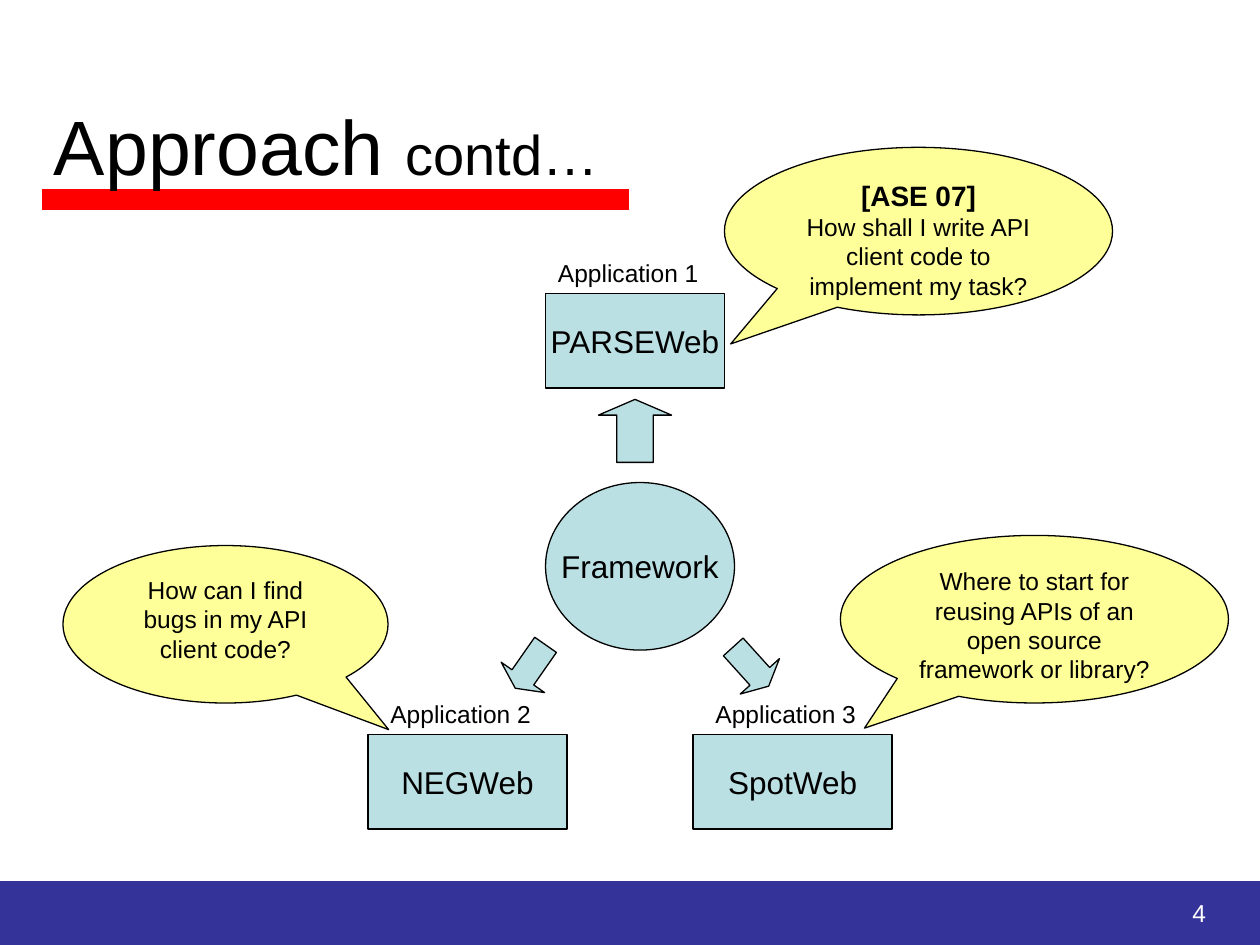
import pptx
import pptx.dml.color
import pptx.enum.shapes
import pptx.enum.text
import pptx.oxml
import pptx.util

Inches = pptx.util.Inches
Pt = pptx.util.Pt
SHAPE = pptx.enum.shapes.MSO_SHAPE
ALIGN = pptx.enum.text.PP_ALIGN
ANCHOR = pptx.enum.text.MSO_ANCHOR

COLORS = {
    "ink": "000000",
    "paper": "FFFFFF",
    "footer": "333399",
    "rule": "FF0000",
    "node": "BBE0E3",
    "callout": "FFFF99",
}


def color(name):
    return pptx.dml.color.RGBColor.from_string(COLORS[name])


def write(holder, paragraphs, align=ALIGN.CENTER, ink="ink", **frame_format):
    """Fill a shape with paragraphs, each a list of (text, size, bold) runs."""
    frame = holder.text_frame
    for key, value in {"word_wrap": True, **frame_format}.items():
        setattr(frame, key, value)
    for index, runs in enumerate(paragraphs):
        paragraph = frame.add_paragraph() if index else frame.paragraphs[0]
        paragraph.alignment = align
        for text, size, bold in runs:
            run = paragraph.add_run()
            run.text = text
            font_format = {"name": "Arial", "size": Pt(size), "bold": bold}
            for key, value in font_format.items():
                setattr(run.font, key, value)
            run.font.color.rgb = color(ink)


def add_text(slide, box, paragraphs, **text_format):
    holder = slide.shapes.add_textbox(*map(Inches, box))
    write(holder, paragraphs, **text_format)


def add_figure(slide, kind, box, fill, line="ink", adjustments=(), rotation=0):
    """Add a filled, outlined preset shape."""
    figure = slide.shapes.add_shape(kind, *map(Inches, box))
    figure.shadow.inherit = False
    figure.fill.solid()
    figure.fill.fore_color.rgb = color(fill)
    figure.line.color.rgb = color(line)
    figure.line.width = Pt(0.75)
    figure.rotation = rotation
    for index, value in enumerate(adjustments):
        figure.adjustments[index] = value
    return figure


def add_footer(slide, box, number):
    left, top, width, height = box
    add_figure(slide, SHAPE.RECTANGLE, box, "footer", line="footer")
    add_text(slide, (left + width - 1, top + 0.08, 0.67, 0.27),
             [[(number, 14, False)]], align=ALIGN.RIGHT, ink="paper")


def add_heading(slide, box):
    left, top, width, height = box
    rule_y = Inches(top + 1)
    rule = slide.shapes.add_connector(
        pptx.enum.shapes.MSO_CONNECTOR.STRAIGHT,
        Inches(left), rule_y, Inches(left + width / 2), rule_y)
    rule.line.color.rgb = color("rule")
    rule.line.width = Pt(12)
    rule._element.spPr.append(pptx.oxml.parse_xml(
        '<a:effectLst xmlns:a="http://schemas.openxmlformats.org/drawingml/2006/main"/>'))
    add_text(slide, box, [[("Approach ", 44, False), ("contd…", 32, False)]],
             align=ALIGN.LEFT, vertical_anchor=ANCHOR.MIDDLE)


def add_node(slide, kind, box, name):
    node = add_figure(slide, kind, box, "node")
    write(node, [[(name, 18, False)]], word_wrap=False,
          vertical_anchor=ANCHOR.MIDDLE)


def add_application(slide, box, name, label, label_indent):
    """Add an application box with its label just above it."""
    left, top, width, height = box
    add_node(slide, SHAPE.RECTANGLE, box, name)
    add_text(slide, (left + label_indent, top - 0.33, 1.42, 0.34),
             [[(label, 14, False)]], align=ALIGN.LEFT)


def add_callout(slide, box, tail, paragraphs):
    callout = add_figure(slide, SHAPE.OVAL_CALLOUT, box, "callout", adjustments=tail)
    write(callout, paragraphs, vertical_anchor=ANCHOR.TOP)


def add_diagram(slide, box):
    """Framework in the middle, with arrows out to three applications."""
    left, top, width, height = box

    def place(x, y, w, h):
        return left + x, top + y, w, h

    add_node(slide, SHAPE.OVAL, place(3.83, 2.66, 1.5, 1.33), "Framework")

    arrows = [
        (SHAPE.UP_ARROW, place(4.25, 2, 0.58, 0.5), 0),
        (SHAPE.DOWN_ARROW, place(3.5, 3.91, 0.42, 0.42), 34.9),
        (SHAPE.DOWN_ARROW, place(5.25, 3.91, 0.42, 0.42), 317.9),
    ]
    for kind, arrow_box, rotation in arrows:
        add_figure(slide, kind, arrow_box, "node",
                   adjustments=(0.5, 0.25), rotation=rotation)

    callouts = [
        (place(5.25, 0, 3.08, 1.33), (-0.484, 0.673),
         [[("[ASE 07]", 16, True)],
          [("How shall I write API client code to implement my task?", 14, False)]]),
        (place(6.17, 3.08, 3.08, 1.33), (-0.438, 0.65),
         [[("Where to start for reusing APIs of an open source "
            "framework or library?", 14, False)]]),
        (place(0, 3.16, 2.58, 1.25), (0.502, 0.669),
         [[("How can I find bugs in my API client code?", 14, False)]]),
    ]
    for callout in callouts:
        add_callout(slide, *callout)

    applications = [
        (place(3.83, 1.16, 1.42, 0.75), "PARSEWeb", "Application 1", 0),
        (place(2.42, 4.66, 1.58, 0.75), "NEGWeb", "Application 2", 0.08),
        (place(5, 4.66, 1.58, 0.75), "SpotWeb", "Application 3", 0.08),
    ]
    for application in applications:
        add_application(slide, *application)


def main():
    deck = pptx.Presentation()
    deck.slide_width = Inches(10)
    deck.slide_height = Inches(7.5)
    slide = deck.slides.add_slide(deck.slide_layouts[6])
    add_footer(slide, (0, 7, 10, 0.5), "4")
    add_heading(slide, (0.33, 0.58, 9.33, 1.13))
    add_diagram(slide, (0.5, 1.17, 9.25, 5.41))
    deck.save("out.pptx")


if __name__ == "__main__":
    main()
